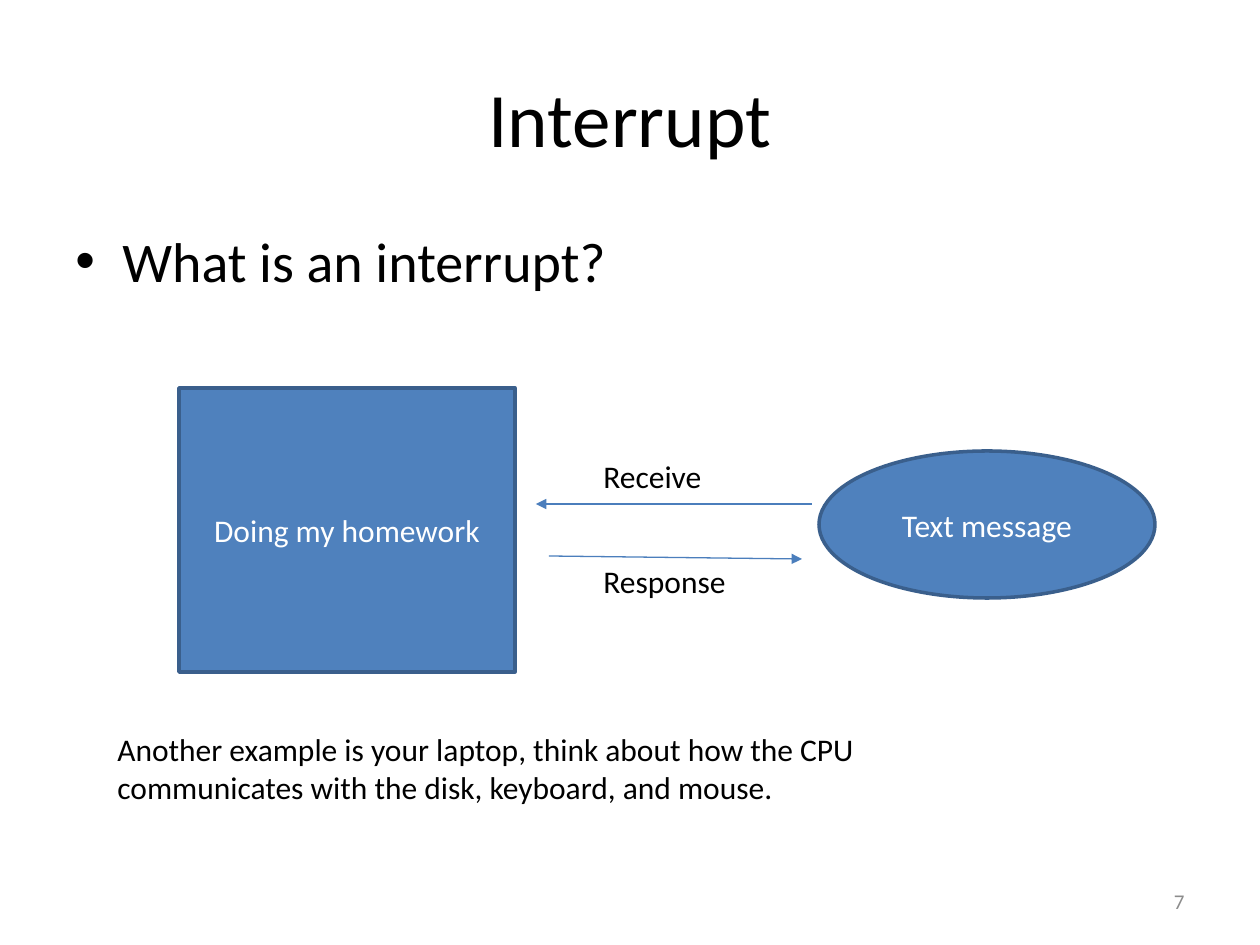
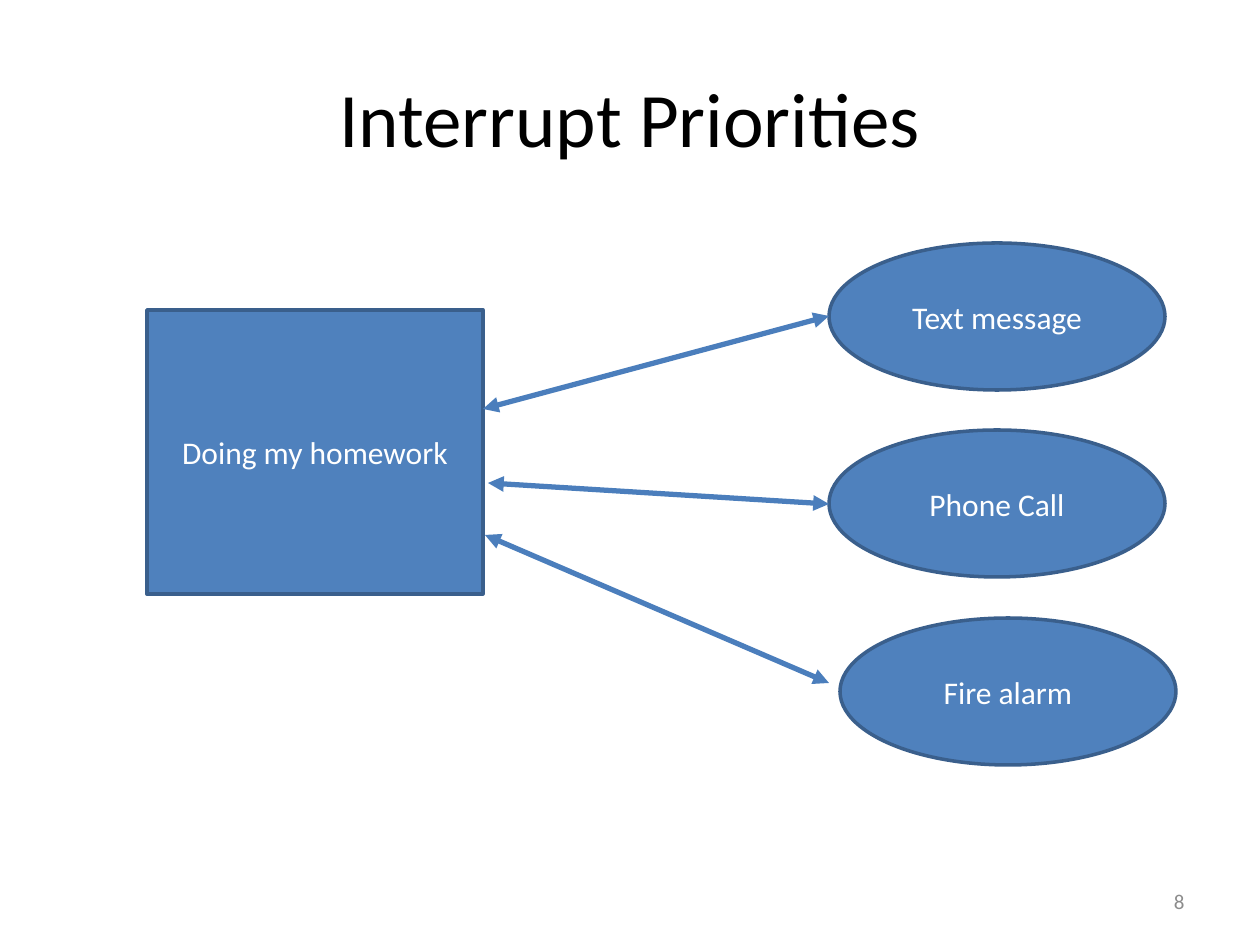
from lxml.etree import SubElement
from pptx import Presentation
from pptx.dml.color import RGBColor
from pptx.enum.shapes import MSO_CONNECTOR, MSO_SHAPE
from pptx.enum.text import MSO_ANCHOR, PP_ALIGN
from pptx.oxml.ns import qn
from pptx.util import Emu, Pt

# Shared style
SCALE = 914400 / 126
FONT = "Calibri"
BLACK = RGBColor(0x00, 0x00, 0x00)
WHITE = RGBColor(0xFF, 0xFF, 0xFF)
GREY = RGBColor(0x8C, 0x8C, 0x8C)
BLUE = RGBColor(0x4F, 0x81, 0xBD)
DARK_BLUE = RGBColor(0x3A, 0x5F, 0x8C)
ARROW_BLUE = RGBColor(0x4B, 0x7E, 0xBC)

PAGE_SIZE = (1260, 945)
TITLE_BOX = (63, 38, 1134, 157)
BODY_BOX = (63, 220, 1134, 624)
NUMBER_BOX = (903, 876, 294, 50)
BULLET_INDENT = 47
TASK_SIZE = (336, 284)
EVENT_SIZE = (336, 147)

# Content: places are left and top, arrows run from start to end
PAGES = [
    {
        "title": "Interrupt",
        "number": "7",
        "bullet": "What is an interrupt?",
        "task": ("Doing my homework", (179, 388)),
        "events": [("Text message", (819, 451))],
        "arrows": [((812, 504), (536, 504)), ((549, 556), (802, 559))],
        "arrow_width": 0.75,
        "both_ends": False,
        "notes": [
            ("Receive", (591, 451, 158, 50)),
            ("Response", (591, 556, 158, 50)),
            ("Another example is your laptop, think about how the CPU "
             "communicates with the disk, keyboard, and mouse.",
             (105, 724, 955, 89)),
        ],
    },
    {
        "title": "Interrupt Priorities",
        "number": "8",
        "bullet": None,
        "task": ("Doing my homework", (147, 310)),
        "events": [
            ("Text message", (829, 243)),
            ("Phone Call", (829, 430)),
            ("Fire alarm", (840, 618)),
        ],
        "arrows": [
            ((829, 316), (483, 409)),
            ((829, 504), (488, 483)),
            ((829, 683), (485, 535)),
        ],
        "arrow_width": 3,
        "both_ends": True,
        "notes": [],
    },
]


def px(*lengths):
    """Turn pixel lengths into EMU."""
    return [Emu(round(length * SCALE)) for length in lengths]


def write(shape, text, size, color=BLACK, align=PP_ALIGN.LEFT,
          anchor=MSO_ANCHOR.TOP):
    """Write one styled run into a shape and return its paragraph."""
    frame = shape.text_frame
    frame.word_wrap = True
    frame.vertical_anchor = anchor
    paragraph = frame.paragraphs[0]
    paragraph.alignment = align
    span = paragraph.add_run()
    span.text = text
    span.font.name = FONT
    span.font.size = Pt(size)
    span.font.color.rgb = color
    return paragraph


def add_text(page, place, *style):
    """Add a text box and return its paragraph."""
    return write(page.shapes.add_textbox(*px(*place)), *style)


def add_bullet(paragraph):
    """Give a paragraph a bullet and a hanging indent."""
    indent = px(BULLET_INDENT)[0]
    properties = paragraph._p.get_or_add_pPr()
    properties.set("marL", str(indent))
    properties.set("indent", str(-indent))
    SubElement(properties, qn("a:buFont"), typeface="Arial")
    SubElement(properties, qn("a:buChar"), char="•")


def add_node(page, kind, text, corner, size):
    """Add a blue shape with centred white text."""
    node = page.shapes.add_shape(kind, *px(*corner, *size))
    node.shadow.inherit = False
    node.fill.solid()
    node.fill.fore_color.rgb = BLUE
    node.line.color.rgb = DARK_BLUE
    node.line.width = Pt(2)
    write(node, text, 18, WHITE, PP_ALIGN.CENTER, MSO_ANCHOR.MIDDLE)


def add_arrow(page, start, end, width, both_ends):
    """Add a straight arrow with a head at its end or at both ends."""
    arrow = page.shapes.add_connector(MSO_CONNECTOR.STRAIGHT,
                                      *px(*start, *end))
    arrow.line.color.rgb = ARROW_BLUE
    arrow.line.width = Pt(width)
    line = arrow.line._get_or_add_ln()
    for tag in ("a:headEnd", "a:tailEnd") if both_ends else ("a:tailEnd",):
        SubElement(line, qn(tag), type="triangle")
    SubElement(arrow._element.spPr, qn("a:effectLst"))


def build_page(deck, content):
    """Build one slide from its content."""
    page = deck.slides.add_slide(deck.slide_layouts[6])
    add_text(page, TITLE_BOX, content["title"], 44, BLACK,
             PP_ALIGN.CENTER, MSO_ANCHOR.MIDDLE)
    if content["bullet"]:
        add_bullet(add_text(page, BODY_BOX, content["bullet"], 32))
    add_text(page, NUMBER_BOX, content["number"], 12, GREY,
             PP_ALIGN.RIGHT, MSO_ANCHOR.MIDDLE)
    add_node(page, MSO_SHAPE.RECTANGLE, *content["task"], TASK_SIZE)
    for text, corner in content["events"]:
        add_node(page, MSO_SHAPE.OVAL, text, corner, EVENT_SIZE)
    for start, end in content["arrows"]:
        add_arrow(page, start, end, content["arrow_width"],
                  content["both_ends"])
    for text, place in content["notes"]:
        add_text(page, place, text, 18)


deck = Presentation()
deck.slide_width, deck.slide_height = px(*PAGE_SIZE)
for content in PAGES:
    build_page(deck, content)
deck.save("out.pptx")
